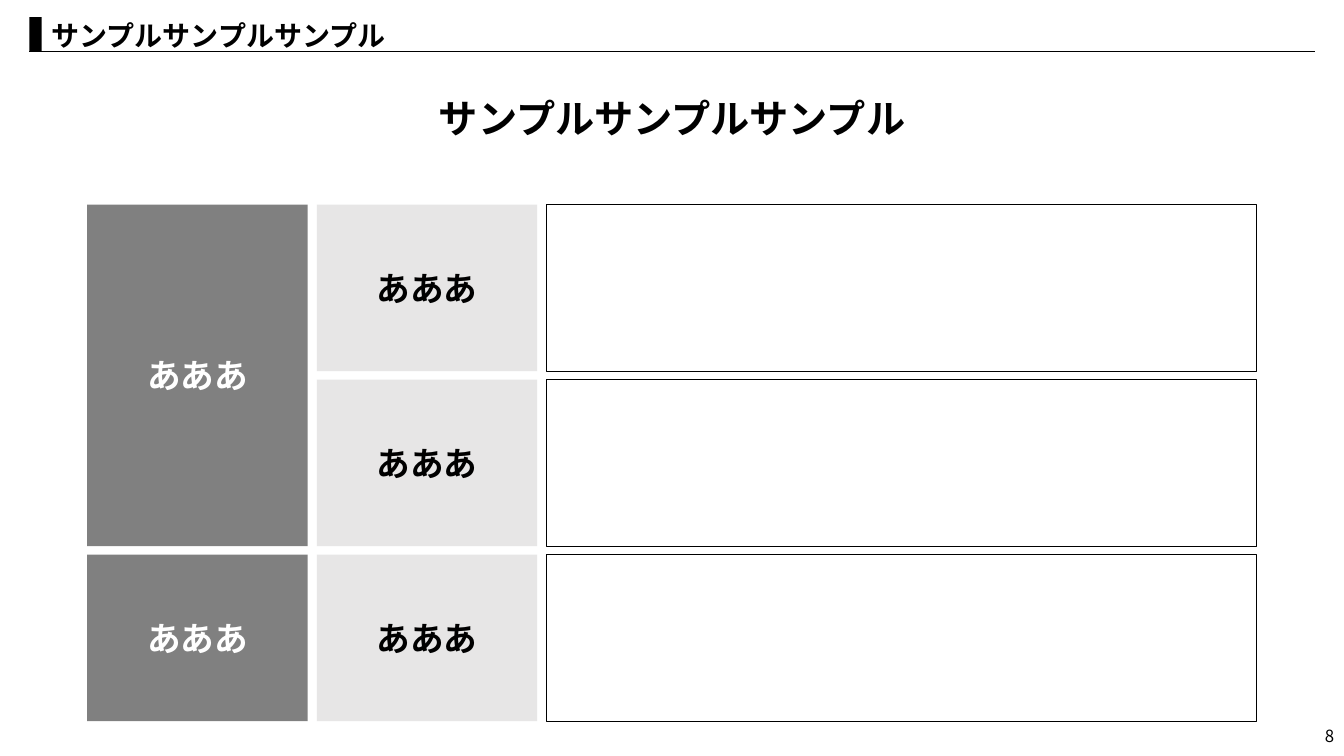
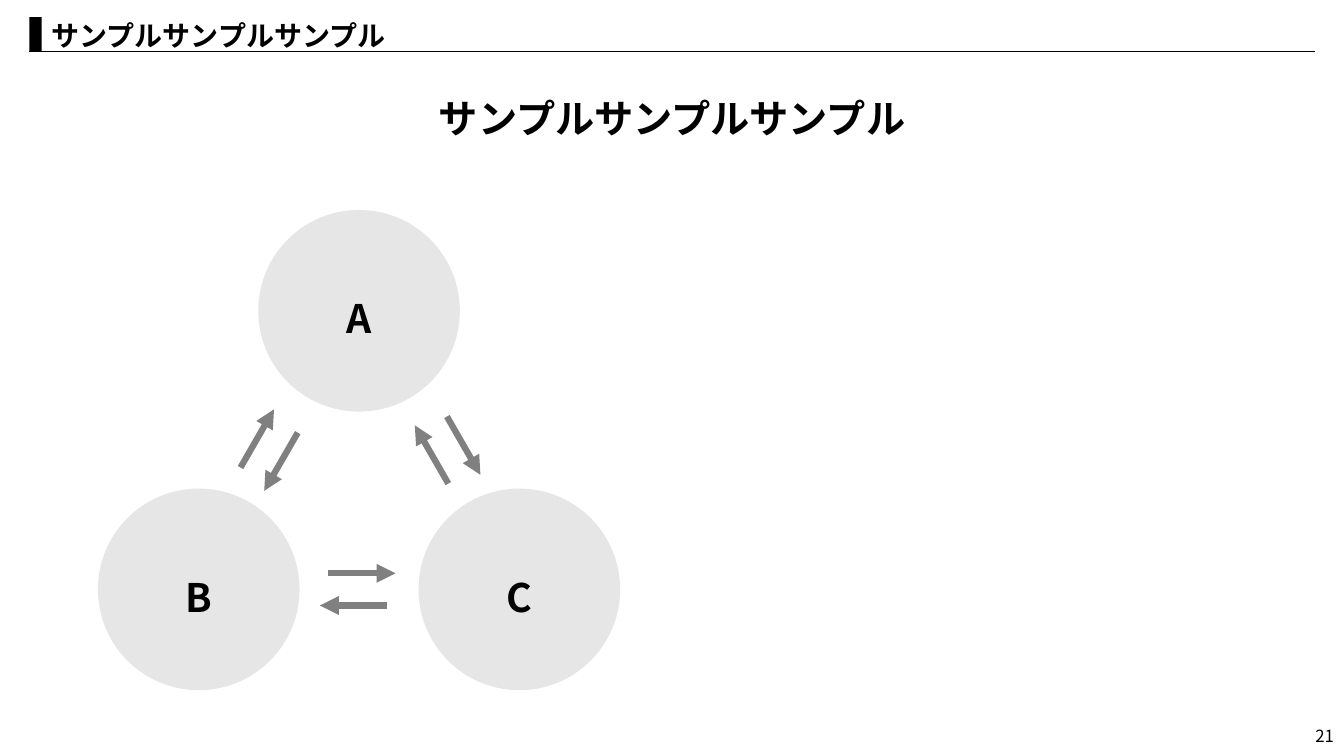
import math

import pptx
import pptx.dml.color
import pptx.enum.shapes
import pptx.enum.text
import pptx.oxml.ns
import pptx.util
from lxml import etree

Pt = pptx.util.Pt
RGB = pptx.dml.color.RGBColor
KIND = pptx.enum.shapes.MSO_SHAPE
ALIGN = pptx.enum.text.PP_ALIGN
ANCHOR = pptx.enum.text.MSO_ANCHOR
qn = pptx.oxml.ns.qn

BLACK = RGB(0x00, 0x00, 0x00)
WHITE = RGB(0xFF, 0xFF, 0xFF)
GRAY = RGB(0x80, 0x80, 0x80)
LIGHT = RGB(0xE7, 0xE6, 0xE6)
FONT = "Noto Sans CJK JP"

TITLE = "サンプルサンプルサンプル"
HEAD = "サンプルサンプルサンプル"

# Matrix: each group has a name and the names of its rows.
GROUPS = [("あああ", ["あああ", "あああ"]), ("あああ", ["あああ"])]
LEFT, TOP = 62.3, 146.2
LABEL, BODY, ROW = 157.5, 507, 119
COL_GAP, ROW_GAP = 6.5, 6

# Cycle: circle centres, then the pairs with the sideways nudge of their arrows.
NODES = {"A": (256.5, 222), "B": (142, 421), "C": (371, 421)}
PAIRS = [("A", "B", -7), ("A", "C", 6), ("B", "C", -1)]
SIZE = 144
ARROW, APART, AHEAD = 48, 11.5, 3


def write(shape, text, size, color=BLACK, bold=True, align=ALIGN.CENTER,
          anchor=ANCHOR.MIDDLE):
    frame = shape.text_frame
    frame.text = text
    frame.word_wrap = True
    frame.vertical_anchor = anchor
    para = frame.paragraphs[0]
    para.alignment = align
    font = para.runs[0].font
    font.size, font.bold, font.name = Pt(size), bold, FONT
    font.color.rgb = color
    east = etree.SubElement(para.runs[0]._r.rPr, qn("a:ea"))
    east.set("typeface", FONT)


def add_text(slide, box, text, size, **style):
    write(slide.shapes.add_textbox(*map(Pt, box)), text, size, **style)


def add_box(slide, kind, box, fill=None):
    """Add a filled shape without outline, or a thin frame if fill is None."""
    shape = slide.shapes.add_shape(kind, *map(Pt, box))
    shape.shadow.inherit = False
    if fill is None:
        shape.fill.background()
        shape.line.color.rgb = BLACK
        shape.line.width = Pt(0.5)
    else:
        shape.fill.solid()
        shape.fill.fore_color.rgb = fill
        shape.line.fill.background()
    return shape


def add_line(slide, start, end, color, width, arrow=False):
    line = slide.shapes.add_connector(
        pptx.enum.shapes.MSO_CONNECTOR.STRAIGHT, *map(Pt, (*start, *end)))
    line.line.color.rgb = color
    line.line.width = Pt(width)
    if arrow:
        tail = etree.SubElement(line.line._get_or_add_ln(), qn("a:tailEnd"))
        tail.set("type", "triangle")
    etree.SubElement(line._element.spPr, qn("a:effectLst"))


def add_slide(deck, number):
    """Add a slide with the title band, headline and page number."""
    slide = deck.slides.add_slide(deck.slide_layouts[6])
    add_text(slide, (744, 511, 216, 29), number, 12, bold=False,
             align=ALIGN.RIGHT)
    add_text(slide, (180, 64, 600, 41), HEAD, 28, anchor=ANCHOR.TOP)
    add_line(slide, (21, 36.7), (939, 36.7), BLACK, 0.5)
    add_text(slide, (29.7, 9.4, 913, 32), TITLE, 20, align=ALIGN.LEFT,
             anchor=ANCHOR.TOP)
    add_box(slide, KIND.RECTANGLE, (21, 12.2, 8.7, 24.5), BLACK)
    return slide


def draw_matrix(slide):
    second = LEFT + LABEL + COL_GAP
    third = second + LABEL + COL_GAP
    top = TOP
    for group, rows in GROUPS:
        height = len(rows) * (ROW + ROW_GAP) - ROW_GAP
        cell = add_box(slide, KIND.RECTANGLE, (LEFT, top, LABEL, height), GRAY)
        write(cell, group, 24, WHITE)
        for name in rows:
            cell = add_box(slide, KIND.RECTANGLE, (second, top, LABEL, ROW),
                           LIGHT)
            write(cell, name, 24)
            add_box(slide, KIND.RECTANGLE, (third, top, BODY, ROW))
            top += ROW + ROW_GAP


def draw_arrow(slide, start, end, nudge):
    """Draw a short arrow on the left of the way from start to end."""
    (x1, y1), (x2, y2) = start, end
    span = math.dist(start, end)
    dx, dy = (x2 - x1) / span, (y2 - y1) / span
    x = (x1 + x2) / 2 + nudge + APART * dy + AHEAD * dx
    y = (y1 + y2) / 2 - APART * dx + AHEAD * dy
    half = ARROW / 2
    add_line(slide, (x - half * dx, y - half * dy),
             (x + half * dx, y + half * dy), GRAY, 4.5, arrow=True)


def draw_cycle(slide):
    for name, (x, y) in NODES.items():
        node = add_box(slide, KIND.OVAL,
                       (x - SIZE / 2, y - SIZE / 2, SIZE, SIZE), LIGHT)
        write(node, name, 28)
        node.text_frame.margin_top = Pt(10)
        node.text_frame.margin_bottom = 0
    for one, two, nudge in PAIRS:
        draw_arrow(slide, NODES[one], NODES[two], nudge)
        draw_arrow(slide, NODES[two], NODES[one], nudge)


def main():
    deck = pptx.Presentation()
    deck.slide_width, deck.slide_height = Pt(960), Pt(540)
    draw_matrix(add_slide(deck, "8"))
    draw_cycle(add_slide(deck, "21"))
    deck.save("out.pptx")


if __name__ == "__main__":
    main()
